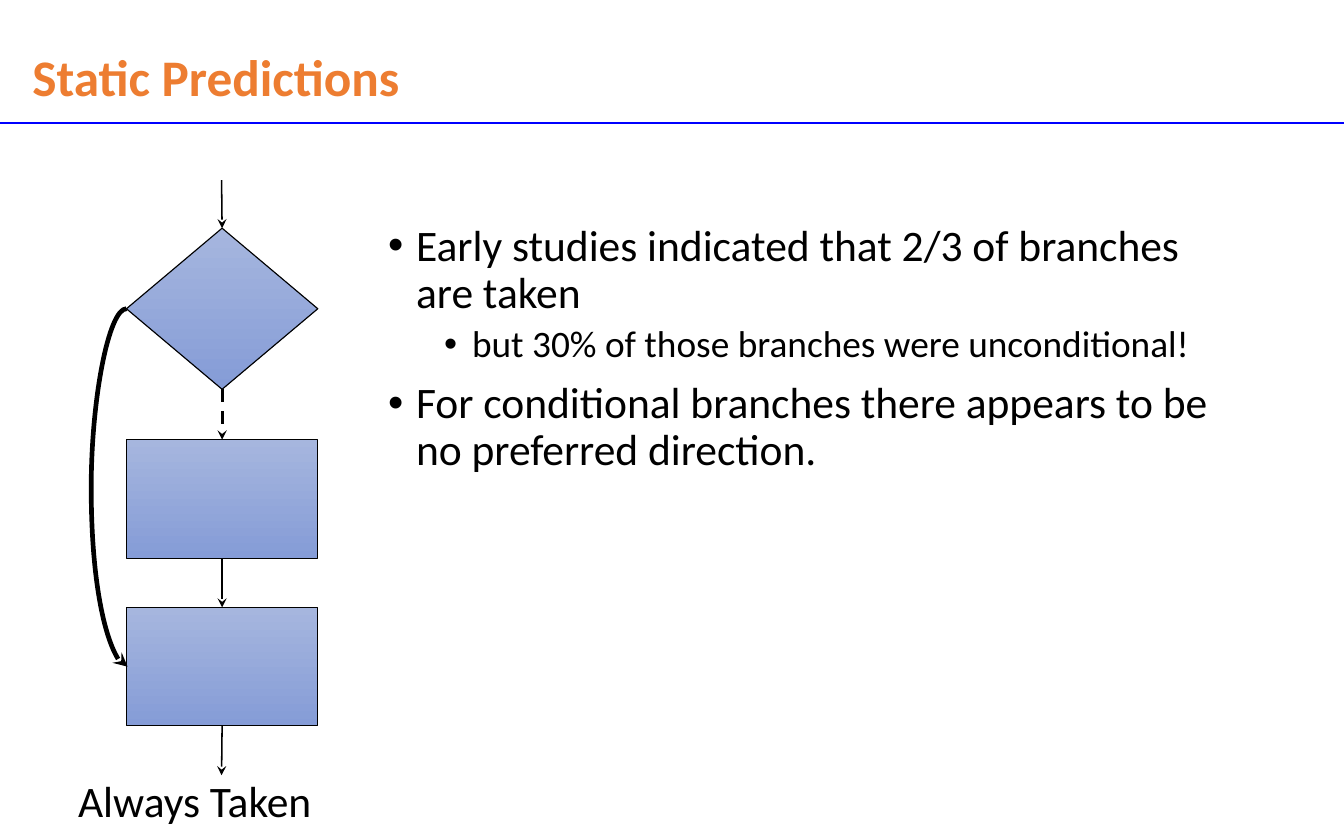
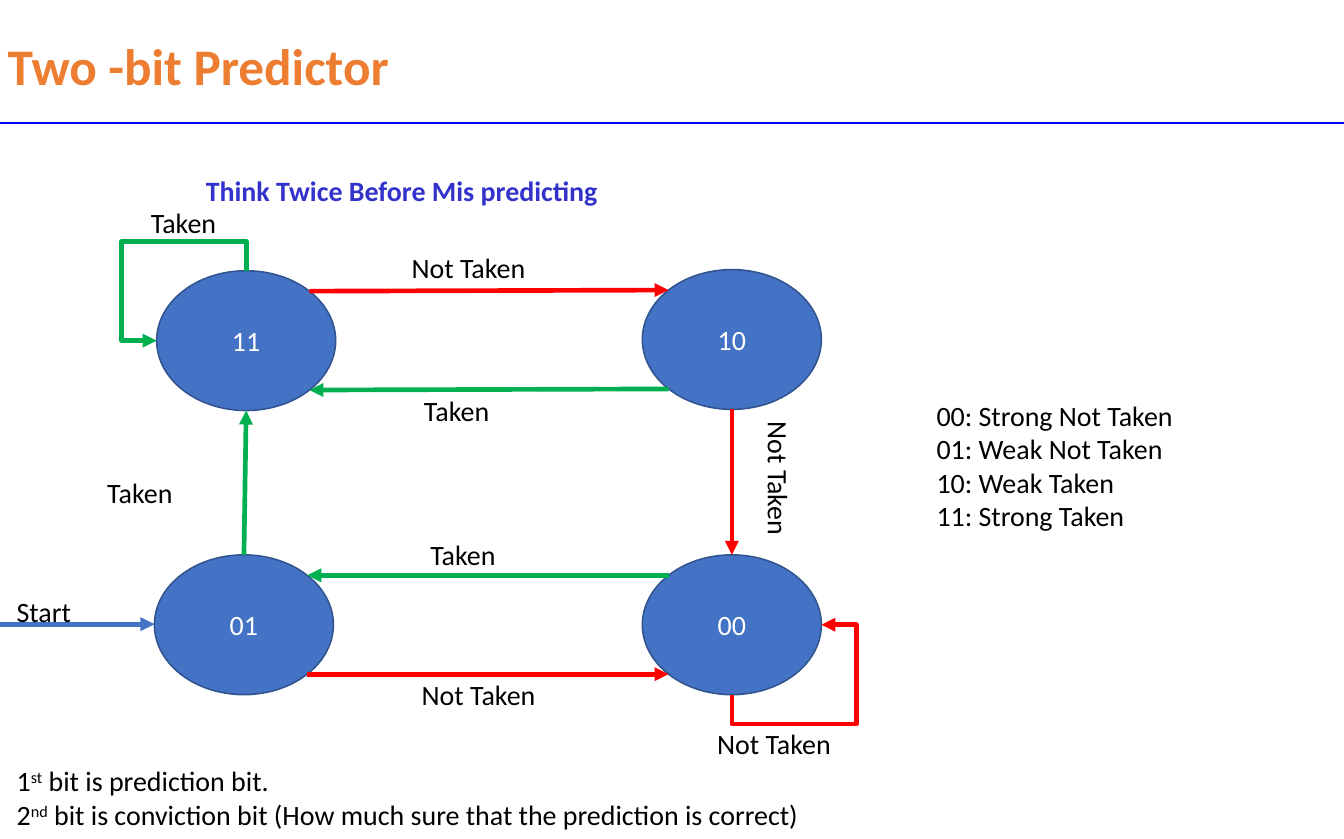
import math
from dataclasses import dataclass

from lxml import etree
from pptx import Presentation
from pptx import util as u
from pptx.dml.color import RGBColor
from pptx.enum import dml, shapes, text
from pptx.oxml import ns


@dataclass(frozen=True)
class Theme:
    """Colours, type sizes and font of the deck."""
    ink: str = "000000"
    white: str = "FFFFFF"
    title: str = "ED7D31"
    rule: str = "0000FF"
    heading: str = "3333CC"
    state: str = "4472C4"
    state_edge: str = "31538F"
    block_top: str = "A6B6DE"
    block_bottom: str = "859CD7"
    taken: str = "00B050"
    not_taken: str = "FF0000"
    font: str = "Calibri"
    title_size: int = 33
    body_size: int = 28
    sub_size: int = 24
    label_size: int = 18


THEME = Theme()
WIDTH, HEIGHT = 12.01, 7.5
SHAPE = shapes.MSO_SHAPE
CONNECTOR = shapes.MSO_CONNECTOR


def rgb(colour):
    """Turn a hex string into a colour."""
    return RGBColor.from_string(colour)


def add_xml(parent, tag, **attributes):
    """Append a DrawingML element."""
    return etree.SubElement(parent, ns.qn(tag), attributes)


def site_point(state, site):
    """Return one of the eight connection points of an ellipse."""
    angle = math.radians(45 * site)
    x = state.left + state.width / 2 * (1 - math.sin(angle))
    y = state.top + state.height / 2 * (1 - math.cos(angle))
    return round(x), round(y)


class Deck:
    """Holds the theme and the current slide."""

    def __init__(self):
        """Start an empty deck."""
        self.deck = Presentation()
        self.deck.slide_width = u.Inches(WIDTH)
        self.deck.slide_height = u.Inches(HEIGHT)
        self.slide = None

    def new_slide(self, title, box, anchor=text.MSO_ANCHOR.TOP, spacing=None):
        """Add a slide with its rule and title."""
        self.slide = self.deck.slides.add_slide(self.deck.slide_layouts[6])
        self.line((0, 1.1), (WIDTH, 1.1), THEME.rule, 0.75, head=None)
        frame = self.label([title], box, THEME.title_size, THEME.title, True, grow=False)
        frame.vertical_anchor = anchor
        frame.paragraphs[0].line_spacing = spacing

    def run(self, paragraph, words, size, colour=THEME.ink, bold=False, raised=False):
        """Add one styled run."""
        run = paragraph.add_run()
        run.text = words
        font = run.font
        font.name, font.size, font.bold = THEME.font, u.Pt(size), bold
        font.color.rgb = rgb(colour)
        if raised:
            run._r.get_or_add_rPr().set("baseline", "30000")

    def frame(self, box, grow=True):
        """Add an empty wrapping text box."""
        holder = self.slide.shapes.add_textbox(*map(u.Inches, box))
        frame = holder.text_frame
        frame.word_wrap = True
        if grow:
            frame.auto_size = text.MSO_AUTO_SIZE.SHAPE_TO_FIT_TEXT
        return holder, frame

    def label(self, lines, box, size=THEME.label_size, colour=THEME.ink,
              bold=False, grow=True, turn=0):
        """Add lines of text; a tuple alternates plain and raised runs."""
        holder, frame = self.frame(box, grow)
        holder.rotation = turn
        for number, line in enumerate(lines):
            paragraph = frame.add_paragraph() if number else frame.paragraphs[0]
            pieces = (line,) if isinstance(line, str) else line
            for index, words in enumerate(pieces):
                self.run(paragraph, words, size, colour, bold, index % 2 == 1)
        return frame

    def bullets(self, items, box):
        """Add bulleted paragraphs of (level, space before, words)."""
        _, frame = self.frame(box, grow=False)
        for number, (level, before, words) in enumerate(items):
            paragraph = frame.add_paragraph() if number else frame.paragraphs[0]
            paragraph.level = level
            paragraph.line_spacing = 0.9
            paragraph.space_before = u.Pt(before)
            props = paragraph._p.get_or_add_pPr()
            props.set("marL", str(u.Inches(0.25 + 0.5 * level)))
            props.set("indent", str(u.Inches(-0.25)))
            add_xml(add_xml(props, "a:buClr"), "a:srgbClr", val=THEME.ink)
            add_xml(props, "a:buFont", typeface="Arial")
            add_xml(props, "a:buChar", char="•")
            self.run(paragraph, words, THEME.sub_size if level else THEME.body_size)

    def shape(self, kind, box, edge, weight):
        """Add a preset shape with an outline."""
        shape = self.slide.shapes.add_shape(kind, *map(u.Inches, box))
        shape.shadow.inherit = False
        shape.line.color.rgb = rgb(edge)
        shape.line.width = u.Pt(weight)
        return shape

    def block(self, kind, top, height):
        """Add a flowchart block with a gradient."""
        block = self.shape(kind, (1.13, top, 1.71, height), THEME.ink, 0.75)
        block.fill.gradient()
        block.fill.gradient_angle = 270
        for stop, colour in zip(block.fill.gradient_stops, (THEME.block_top, THEME.block_bottom)):
            stop.color.rgb = rgb(colour)
        return block

    def state(self, bits, left, top):
        """Add a predictor state."""
        state = self.shape(SHAPE.OVAL, (left, top, 1.6, 1.25), THEME.state_edge, 1)
        state.fill.solid()
        state.fill.fore_color.rgb = rgb(THEME.state)
        state.text_frame.vertical_anchor = text.MSO_ANCHOR.MIDDLE
        paragraph = state.text_frame.paragraphs[0]
        paragraph.alignment = text.PP_ALIGN.CENTER
        self.run(paragraph, bits, THEME.label_size, THEME.white)
        return state

    def connector(self, kind, start, end, colour, weight, head):
        """Add a connector between two points in EMU."""
        link = self.slide.shapes.add_connector(kind, *start, *end)
        link.line.color.rgb = rgb(colour)
        link.line.width = u.Pt(weight)
        if head:
            add_xml(link.line._get_or_add_ln(), "a:tailEnd", type=head)
        add_xml(link._element.spPr, "a:effectLst")
        return link

    def line(self, start, end, colour=THEME.ink, weight=1, head="stealth"):
        """Add a straight line between two points in inches."""
        points = [tuple(map(u.Inches, point)) for point in (start, end)]
        return self.connector(CONNECTOR.STRAIGHT, *points, colour, weight, head)

    def bend(self, link, preset, *adjustments):
        """Set the preset and bends of a connector."""
        geometry = link._element.spPr.find(ns.qn("a:prstGeom"))
        geometry.set("prst", preset)
        for old in list(geometry):
            geometry.remove(old)
        guides = add_xml(geometry, "a:avLst")
        for number, value in enumerate(adjustments, 1):
            add_xml(guides, "a:gd", name=f"adj{number}", fmla=f"val {round(value * 100000)}")

    def transition(self, source, source_site, target, target_site, colour,
                   kind=CONNECTOR.STRAIGHT):
        """Join two states at their connection points."""
        link = self.connector(kind, site_point(source, source_site),
                              site_point(target, target_site), colour, 3, "triangle")
        joints = link._element.nvCxnSpPr.cNvCxnSpPr
        for joint, state, site in ((joints.get_or_add_stCxn(), source, source_site),
                                   (joints.get_or_add_endCxn(), target, target_site)):
            joint.id, joint.idx = state.shape_id, site
        return link

    def self_loop(self, state, start_site, end_site, colour, turn):
        """Loop a state back to itself around a corner."""
        link = self.transition(state, start_site, state, end_site, colour, CONNECTOR.ELBOW)
        centre_x, centre_y = link.left + link.width // 2, link.top + link.height // 2
        link.width, link.height = link.height, link.width
        link.left, link.top = centre_x - link.width // 2, centre_y - link.height // 2
        frame = link._element.spPr.find(ns.qn("a:xfrm"))
        for flip in ("flipH", "flipV"):
            frame.attrib.pop(flip, None)
        frame.set("rot", str(turn * 60000))
        self.bend(link, "bentConnector4", -0.42, 1.39)


def static_predictions(deck):
    """Build the static prediction slide."""
    deck.new_slide("Static Predictions", (0.19, 0.42, 7.55, 0.46), spacing=0.9)
    deck.bullets([
        (0, 0, "Early studies indicated that 2/3 of branches are taken"),
        (1, 5, "but 30% of those branches were unconditional!"),
        (0, 10, "For conditional branches there appears to be no preferred direction."),
    ], (3.37, 1.95, 7.78, 4.95))
    branch = deck.block(SHAPE.DIAMOND, 2.04, 1.44)
    skipped = deck.block(SHAPE.RECTANGLE, 3.93, 1.06)
    target = deck.block(SHAPE.RECTANGLE, 5.43, 1.06)

    middle = 1.98
    fall_through = deck.line((middle, 3.48), (middle, 3.93), weight=2)
    fall_through.line.dash_style = dml.MSO_LINE.DASH
    onward = deck.line((middle, 5), (middle, 5.43))
    for link, upper, lower in ((fall_through, branch, skipped), (onward, skipped, target)):
        link.begin_connect(upper, 2)
        link.end_connect(lower, 0)
    deck.line((middle, 1.61), (middle, 2.04)).end_connect(branch, 0)
    deck.line((middle, 6.49), (middle, 6.93)).begin_connect(target, 2)

    jump = deck.connector(CONNECTOR.CURVE, (branch.left, u.Inches(2.76)),
                          (target.left, u.Inches(5.96)), THEME.ink, 3, "stealth")
    jump.begin_connect(branch, 1)
    jump.end_connect(target, 1)
    jump.end_x = jump.begin_x + u.Inches(0.01)
    deck.bend(jump, "curvedConnector3", -32)
    deck.label(["Always Taken"], (0.6, 6.87, 2.77, 0.57), THEME.body_size)


def two_bit_predictor(deck):
    """Build the two-bit predictor slide."""
    deck.new_slide("Two -bit Predictor", (-0.03, 0.34, 4.47, 0.48), text.MSO_ANCHOR.MIDDLE)
    weak_not = deck.state("01", 1.38, 4.96)
    strong = deck.state("11", 1.4, 2.42)
    strong_not = deck.state("00", 5.74, 4.96)
    weak = deck.state("10", 5.74, 2.41)

    for source, source_site, target, target_site, colour in (
        (weak_not, 0, strong, 4, THEME.taken),
        (strong, 7, weak, 1, THEME.not_taken),
        (weak, 3, strong, 5, THEME.taken),
        (weak, 4, strong_not, 0, THEME.not_taken),
        (strong_not, 1, weak_not, 7, THEME.taken),
        (weak_not, 5, strong_not, 3, THEME.not_taken),
    ):
        deck.transition(source, source_site, target, target_site, colour)
    deck.self_loop(strong, 0, 2, THEME.taken, 90)
    deck.self_loop(strong_not, 4, 6, THEME.not_taken, 270)
    deck.line((-0.12, 5.58), (1.38, 5.58), THEME.state, 3, "triangle")

    for words, left, top, width in (
        (" Taken", 3.69, 4.76, 1.02),
        ("Taken", 1.25, 1.79, 0.95),
        ("Taken", 3.69, 3.47, 0.95),
        ("Taken", 0.86, 4.2, 0.95),
        ("Not Taken", 3.58, 2.19, 1.48),
        ("Not Taken", 3.67, 6.01, 1.48),
        ("Not Taken", 6.31, 6.45, 1.48),
        ("Start", 0.05, 5.27, 0.83),
    ):
        deck.label([words], (left, top, width, 0.4))
    deck.label(["Not Taken"], (6.19, 3.93, 1.23, 0.71), turn=90)
    deck.label(["Think Twice Before Mis predicting"], (1.74, 1.5, 4.48, 0.4),
               colour=THEME.heading, bold=True)
    deck.label(["00: Strong Not Taken", "01: Weak Not Taken", "10: Weak Taken",
                "11: Strong Taken"], (8.27, 3.51, 2.81, 1.31))
    deck.label([
        ("1", "st", " bit is prediction bit."),
        ("2", "nd", " bit is conviction bit (How much sure that the prediction is correct)"),
    ], (0.05, 6.78, 8.81, 0.71))


def main():
    """Build and save the deck."""
    deck = Deck()
    static_predictions(deck)
    two_bit_predictor(deck)
    deck.deck.save("out.pptx")


if __name__ == "__main__":
    main()
